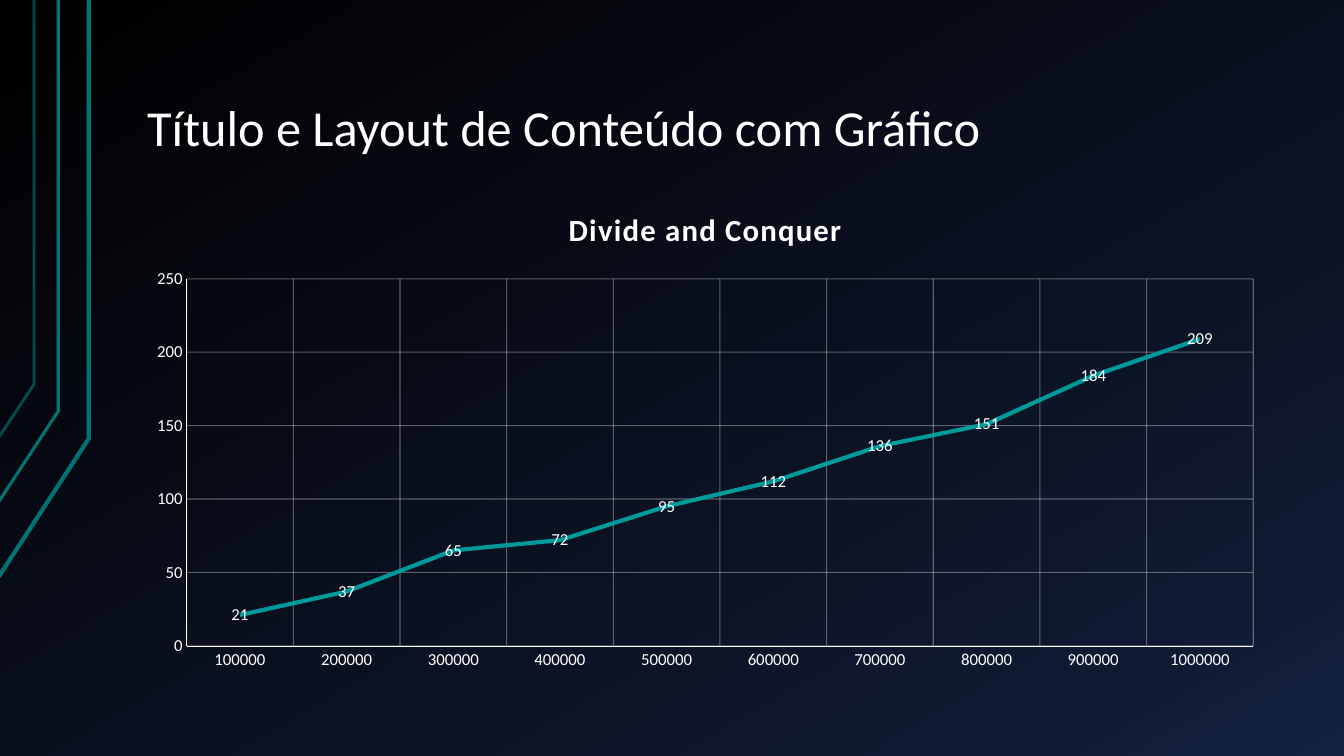
from pptx import Presentation
from pptx.chart.data import CategoryChartData
from pptx.dml.color import RGBColor
from pptx.enum.chart import XL_CHART_TYPE, XL_LABEL_POSITION, XL_TICK_MARK
from pptx.enum.text import MSO_ANCHOR
from pptx.oxml import parse_xml
from pptx.oxml.ns import nsdecls, qn
from pptx.util import Cm, Pt

FONT = "Calibri"
COLORS = {
    "white": "FFFFFF",
    "series": "009999",
    "ornament": "007373",
    "night": "000000",
    "navy": "0F1931",
    "blue": "142242",
}
BACKGROUND_STOPS = [(0, "night"), (85, "navy"), (100, "blue")]
BACKGROUND_ANGLE = 60
ORNAMENT_LINES = [
    (-0.03, 14.53, 2.24, 11.05, 3, 100),
    (-0.05, 12.67, 1.47, 10.36, 2.25, 100),
    (-0.03, 11.02, 0.86, 9.68, 2, 65),
]
CHART_TITLE = "Divide and Conquer"
TIMES = [21, 37, 65, 72, 95, 112, 136, 151, 184, 209]
PLOT_AREA = {"x": 0.046, "y": 0.186, "w": 0.934, "h": 0.746}


def rgb(name):
    return RGBColor.from_string(COLORS[name])


def style_font(font, size, bold=False):
    font.name = FONT
    font.size = Pt(size)
    font.bold = bold
    font.color.rgb = rgb("white")


def style_line(line, color, width, opacity=100):
    line.width = Pt(width)
    line.fill.solid()
    line.fill.fore_color.rgb = rgb(color)
    if opacity < 100:
        for element in line._get_or_add_ln().iter(qn("a:srgbClr")):
            element.append(parse_xml(f'<a:alpha {nsdecls("a")} val="{opacity * 1000}"/>'))


def paint_background(slide):
    fill = slide.background.fill
    fill.gradient()
    gradient = slide._element.find(".//" + qn("a:gradFill"))
    stops = gradient.find(qn("a:gsLst"))
    for stop in list(stops):
        stops.remove(stop)
    for position, color in BACKGROUND_STOPS:
        stops.append(parse_xml(
            f'<a:gs {nsdecls("a")} pos="{position * 1000}">'
            f'<a:srgbClr val="{COLORS[color]}"/></a:gs>'
        ))
    fill.gradient_angle = 360 - BACKGROUND_ANGLE


def add_ornament(slide, left, top):
    for start_x, start_y, bend_x, bend_y, width, opacity in ORNAMENT_LINES:
        builder = slide.shapes.build_freeform(left + Cm(start_x), top + Cm(start_y))
        bend = left + Cm(bend_x)
        builder.add_line_segments([(bend, top + Cm(bend_y)), (bend, top)], close=False)
        shape = builder.convert_to_shape()
        shape.shadow.inherit = False
        shape.fill.background()
        style_line(shape.line, "ornament", width, opacity)


def add_title(slide, left, top, width, height):
    text_frame = slide.shapes.add_textbox(left, top, width, height).text_frame
    text_frame.word_wrap = True
    text_frame.vertical_anchor = MSO_ANCHOR.BOTTOM
    text_frame.margin_left = text_frame.margin_right = Cm(0.33)
    text_frame.margin_top = text_frame.margin_bottom = Cm(0.18)
    paragraph = text_frame.paragraphs[0]
    paragraph.text = "Título e Layout de Conteúdo com Gráfico"
    paragraph.line_spacing = 0.9
    style_font(paragraph.font, 36)


def style_axis(axis):
    axis.major_tick_mark = axis.minor_tick_mark = XL_TICK_MARK.NONE
    axis.has_major_gridlines = True
    style_font(axis.tick_labels.font, 12)
    style_line(axis.format.line, "white", 0.25)
    style_line(axis.major_gridlines.format.line, "white", 0.75, 32)


def place_plot_area(chart):
    plot_area = chart._chartSpace.chart.plotArea
    for layout in plot_area.findall(qn("c:layout")):
        plot_area.remove(layout)
    sizes = "".join(f'<c:{key} val="{value}"/>' for key, value in PLOT_AREA.items())
    plot_area.insert(0, parse_xml(
        f'<c:layout {nsdecls("c")}><c:manualLayout><c:layoutTarget val="inner"/>'
        f'<c:xMode val="edge"/><c:yMode val="edge"/>{sizes}</c:manualLayout></c:layout>'
    ))


def add_line_chart(slide, left, top, width, height):
    data = CategoryChartData()
    data.categories = [str(100000 * step) for step in range(1, len(TIMES) + 1)]
    data.add_series(CHART_TITLE, TIMES)
    chart = slide.shapes.add_chart(
        XL_CHART_TYPE.LINE, left, top, width, height, data
    ).chart
    style_font(chart.font, 10)
    chart.has_legend = False

    chart.has_title = True
    paragraph = chart.chart_title.text_frame.paragraphs[0]
    paragraph.text = CHART_TITLE
    style_font(paragraph.font, 22, bold=True)
    paragraph._p.pPr.find(qn("a:defRPr")).set("spc", "100")

    for axis in (chart.category_axis, chart.value_axis):
        style_axis(axis)
    chart.value_axis.minimum_scale = 0
    chart.value_axis.maximum_scale = 250
    chart.value_axis.major_unit = 50
    place_plot_area(chart)

    plot = chart.plots[0]
    plot.vary_by_categories = False
    series = plot.series[0]
    series.smooth = False
    style_line(series.format.line, "series", 3)
    labels = series.data_labels
    labels.show_value = True
    labels.position = XL_LABEL_POSITION.CENTER
    style_font(labels.font, 12)


def main():
    presentation = Presentation()
    presentation.slide_width = Cm(33.87)
    presentation.slide_height = Cm(19.05)
    slide = presentation.slides.add_slide(presentation.slide_layouts[6])
    paint_background(slide)
    add_ornament(slide, Cm(0), Cm(0))
    add_title(slide, Cm(3.38), Cm(0.76), Cm(28.78), Cm(3.4))
    add_line_chart(slide, Cm(3.38), Cm(4.72), Cm(28.78), Cm(12.4))
    presentation.save("out.pptx")


if __name__ == "__main__":
    main()
